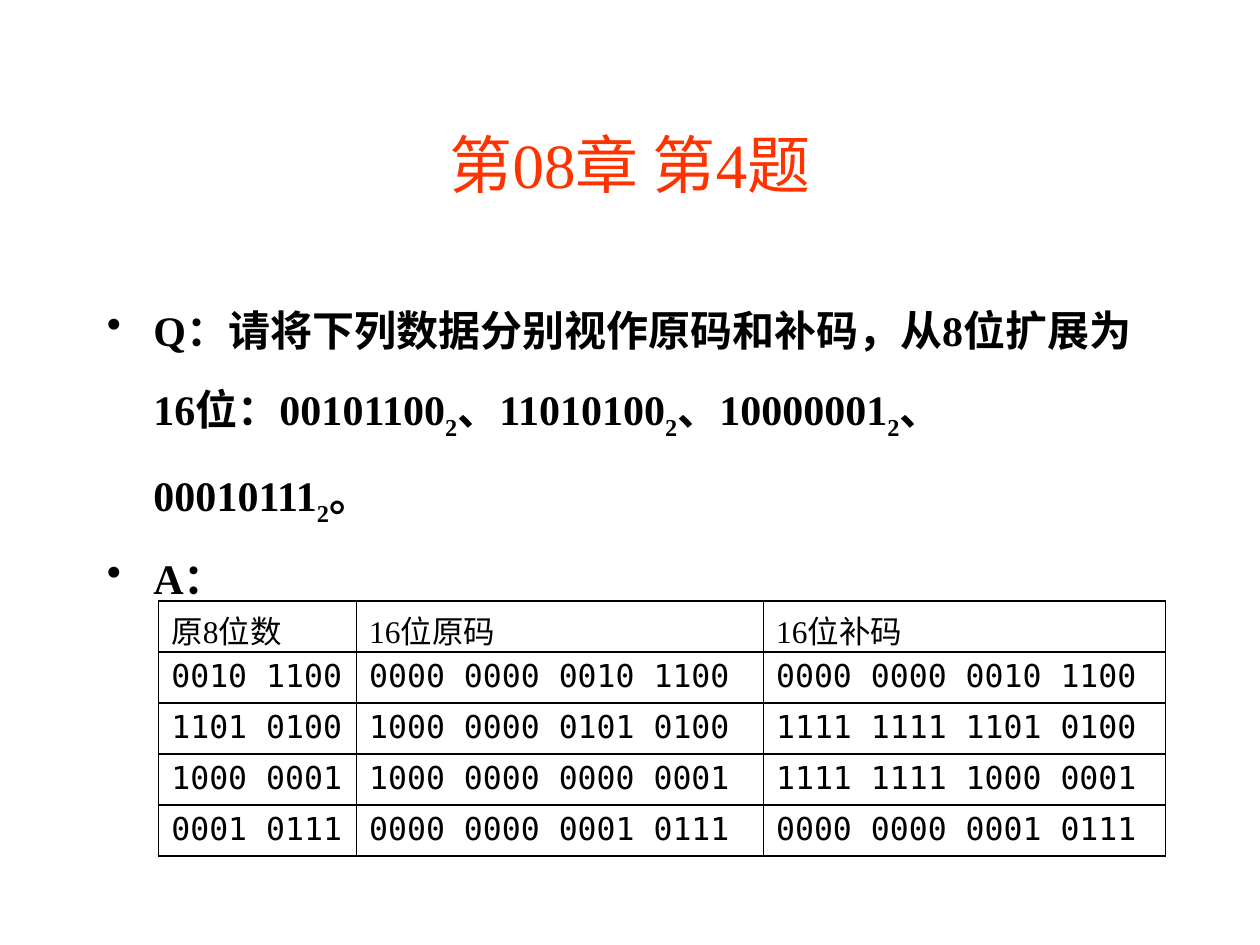
from dataclasses import dataclass

from pptx import Presentation, util as u
from pptx.dml.color import RGBColor
from pptx.enum import text as t
from pptx.oxml import parse_xml
from pptx.oxml.ns import nsdecls


@dataclass(frozen=True)
class Theme:
    serif: str = "Times New Roman"
    mono: str = "DejaVu Sans Mono"
    ink: str = "000000"
    accent: str = "FF3300"
    title: int = 36
    body: int = 24
    cell: int = 18
    rule: int = 1


TITLE = "第08章 第4题"
ASK = "Q：请将下列数据分别视作原码和补码，从8位扩展为16位："
CODES = ["00101100", "11010100", "10000001", "00010111"]
HEAD = ["原8位数", "16位原码", "16位补码"]
ROWS = [
    ["0010 1100", "0000 0000 0010 1100", "0000 0000 0010 1100"],
    ["1101 0100", "1000 0000 0101 0100", "1111 1111 1101 0100"],
    ["1000 0001", "1000 0000 0000 0001", "1111 1111 1000 0001"],
    ["0001 0111", "0000 0000 0001 0111", "0000 0000 0001 0111"],
]


def grid(n):
    """Length of n cells; the slide is 100 columns by 75 rows."""
    return u.Inches(n / 10)


class Page:
    def __init__(self, deck, theme):
        self.theme = theme
        self.slide = deck.slides.add_slide(deck.slide_layouts[6])

    def style(self, run, size, face=None, color=None, bold=False):
        font = run.font
        font.size, font.bold = u.Pt(size), bold
        font.name = face or self.theme.serif
        font.color.rgb = RGBColor.from_string(color or self.theme.ink)

    def box(self, x, y, w, h):
        frame = self.slide.shapes.add_textbox(*map(grid, (x, y, w, h))).text_frame
        frame.word_wrap = True
        return frame

    def title(self, words, *area):
        frame = self.box(*area)
        frame.text = words
        frame.vertical_anchor = t.MSO_ANCHOR.MIDDLE
        para = frame.paragraphs[0]
        para.alignment = t.PP_ALIGN.CENTER
        self.style(para.runs[0], self.theme.title, color=self.theme.accent)

    def bullets(self, items, *area):
        """Each item is a list of pieces, normal and subscript by turns."""
        frame = self.box(*area)
        for i, item in enumerate(items):
            para = frame.add_paragraph() if i else frame.paragraphs[0]
            para.line_spacing = 1.5
            props = para._p.get_or_add_pPr()
            props.set("marL", str(grid(3.7)))
            props.set("indent", str(-grid(3.7)))
            props.append(parse_xml(f'<a:buChar {nsdecls("a")} char="•"/>'))
            for j, piece in enumerate(item):
                run = para.add_run()
                run.text = piece
                self.style(run, self.theme.body, bold=True)
                if j % 2:
                    run._r.get_or_add_rPr().set("baseline", "-25000")

    def border(self, cell):
        props = cell._tc.get_or_add_tcPr()
        for side in "LRTB":
            props.append(parse_xml(
                f'<a:ln{side} {nsdecls("a")} w="{u.Pt(self.theme.rule)}"><a:solidFill>'
                f'<a:srgbClr val="{self.theme.ink}"/></a:solidFill></a:ln{side}>'))

    def table(self, rows, x, y, widths, high):
        table = self.slide.shapes.add_table(
            len(rows), len(widths), grid(x), grid(y),
            grid(sum(widths)), grid(high * len(rows))).table
        table.first_row = table.horz_banding = False
        for col, wide in zip(table.columns, widths):
            col.width = grid(wide)
        for i, row in enumerate(rows):
            for j, words in enumerate(row):
                cell = table.cell(i, j)
                cell.text = words
                face = self.theme.mono if i else self.theme.serif
                self.style(cell.text_frame.paragraphs[0].runs[0], self.theme.cell, face)
                self.border(cell)
                cell.fill.background()


def main():
    deck = Presentation()
    deck.slide_width, deck.slide_height = grid(100), grid(75)
    page = Page(deck, Theme())
    page.title(TITLE, 7.5, 6.7, 85, 12.5)

    ask = [ASK + CODES[0]]
    for code in CODES[1:]:
        ask += ["2", "、" + code]
    page.bullets([ask + ["2", "。"], ["A："]], 7.5, 21.7, 85, 45)

    page.table([HEAD] + ROWS, 12.6, 47.7, [15.7, 32.3, 31.9], 4.05)
    deck.save("out.pptx")


if __name__ == "__main__":
    main()
